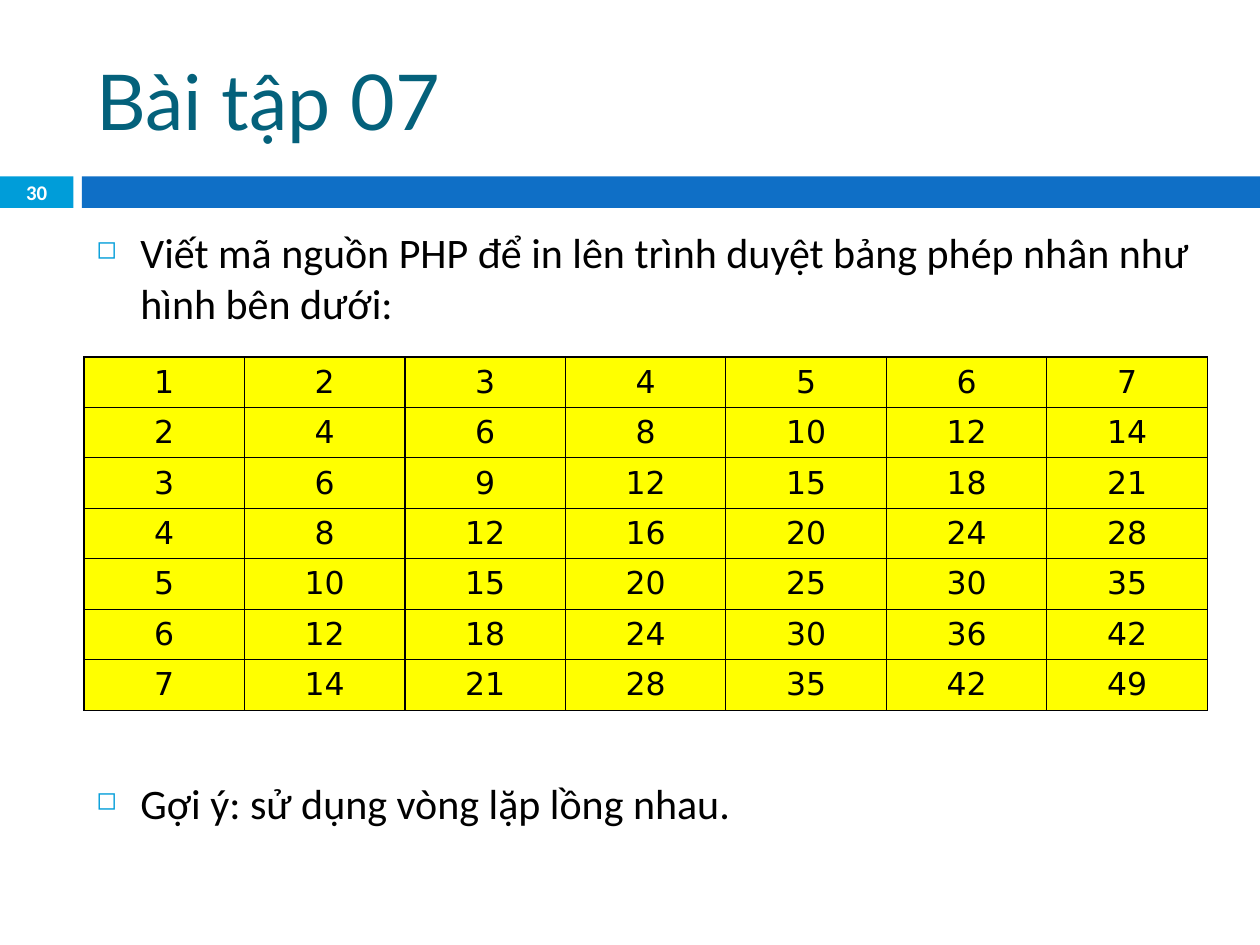
import pptx
import pptx.util
import pptx.dml.color
import pptx.enum.shapes
import pptx.enum.text
import pptx.oxml
import pptx.oxml.ns
import lxml.etree

COLORS = {"accent": "009DD9", "band": "0F6FC6", "title": "04617B",
          "text": "000000", "white": "FFFFFF", "cell": "FFFF00"}
PP_ALIGN = pptx.enum.text.PP_ALIGN
MIDDLE = pptx.enum.text.MSO_ANCHOR.MIDDLE
Pt = pptx.util.Pt

prs = pptx.Presentation()
prs.slide_width = pptx.util.Inches(10)
prs.slide_height = pptx.util.Inches(7.5)
COL = prs.slide_width / 120
ROW = prs.slide_height / 90
s = prs.slides.add_slide(prs.slide_layouts[6])


def grid(left, top, width, height):
    return [round(v) for v in (left * COL, top * ROW, width * COL, height * ROW)]


def write(p, text, color, **font):
    r = p.add_run()
    r.text = text
    for name, value in font.items():
        setattr(r.font, name, value)
    r.font.color.rgb = pptx.dml.color.RGBColor.from_string(COLORS[color])


for left, width, color in [(0, 7, "accent"), (7.8, 112.2, "band")]:
    sp = s.shapes.add_shape(pptx.enum.shapes.MSO_SHAPE.RECTANGLE, *grid(left, 16.8, width, 3))
    sp.shadow.inherit = False
    sp.fill.solid()
    sp.fill.fore_color.rgb = pptx.dml.color.RGBColor.from_string(COLORS[color])
    sp.line.fill.background()

labels = [
    ("Bài tập 07", (8, 3, 107, 13), "title", PP_ALIGN.LEFT,
     {"size": Pt(44), "name": "Lato"}),
    ("30", (0, 16.7, 7, 3.2), "white", PP_ALIGN.CENTER,
     {"size": Pt(11.9), "name": "Calibri", "bold": True}),
]
for text, box, color, align, font in labels:
    tf = s.shapes.add_textbox(*grid(*box)).text_frame
    for name, value in {"word_wrap": True, "vertical_anchor": MIDDLE}.items():
        setattr(tf, name, value)
    tf.paragraphs[0].alignment = align
    write(tf.paragraphs[0], text, color, **font)

tf = s.shapes.add_textbox(*grid(8, 21, 107, 59)).text_frame
tf.word_wrap = True
bullets = [
    ("Viết mã nguồn PHP để in lên trình duyệt bảng phép nhân như hình bên dưới:", 7),
    ("Gợi ý: sử dụng vòng lặp lồng nhau.", 257),
]
indent = round(4.2 * COL)
for i, (text, gap) in enumerate(bullets):
    p = tf.add_paragraph() if i else tf.paragraphs[0]
    p.space_before = Pt(gap)
    write(p, text, "text", size=Pt(24), name="Calibri")
    pPr = p._p.get_or_add_pPr()
    pPr.set("marL", str(indent))
    pPr.set("indent", str(-indent))
    for xml in ('<a:buClr %s><a:srgbClr val="{}"/></a:buClr>'.format(COLORS["accent"]),
                '<a:buSzPct %s val="60000"/>',
                '<a:buChar %s char="◻"/>'):
        pPr.append(pptx.oxml.parse_xml(xml % pptx.oxml.ns.nsdecls("a")))

N = 7
table = s.shapes.add_table(N, N, *grid(8, 34, 107, N * 4.68)).table
table.first_row = table.horz_banding = False
for i in range(N):
    for j in range(N):
        cell = table.cell(i, j)
        cell.vertical_anchor = MIDDLE
        p = cell.text_frame.paragraphs[0]
        p.alignment = PP_ALIGN.CENTER
        write(p, str((i + 1) * (j + 1)), "text", size=Pt(18), name="DejaVu Sans")
        tcPr = cell._tc.get_or_add_tcPr()
        for side in ("lnL", "lnR", "lnT", "lnB"):
            ln = lxml.etree.SubElement(tcPr, pptx.oxml.ns.qn("a:" + side), w=str(Pt(0.75)))
            fill = lxml.etree.SubElement(ln, pptx.oxml.ns.qn("a:solidFill"))
            lxml.etree.SubElement(fill, pptx.oxml.ns.qn("a:srgbClr"), val=COLORS["text"])
        cell.fill.solid()
        cell.fill.fore_color.rgb = pptx.dml.color.RGBColor.from_string(COLORS["cell"])

prs.save("out.pptx")
